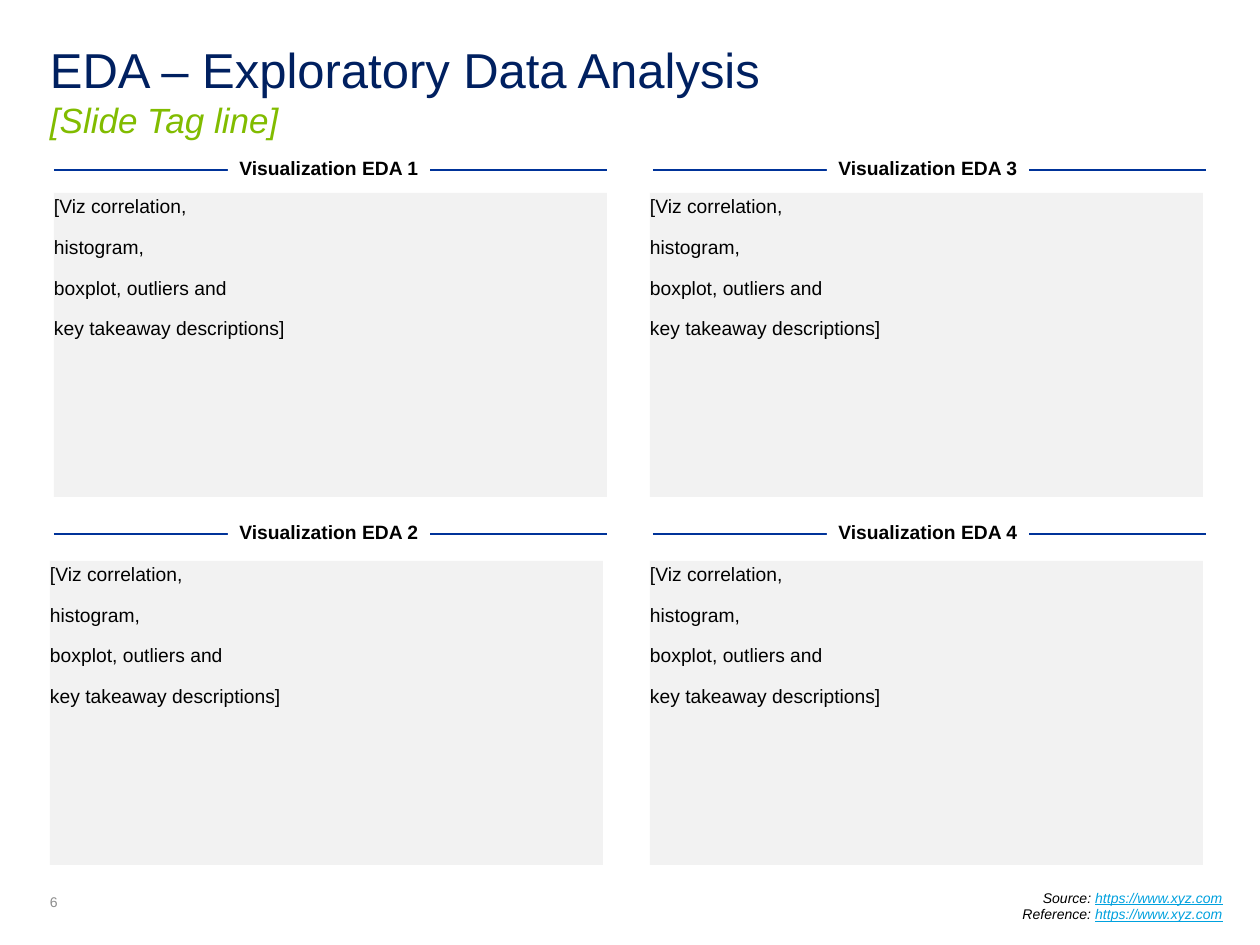
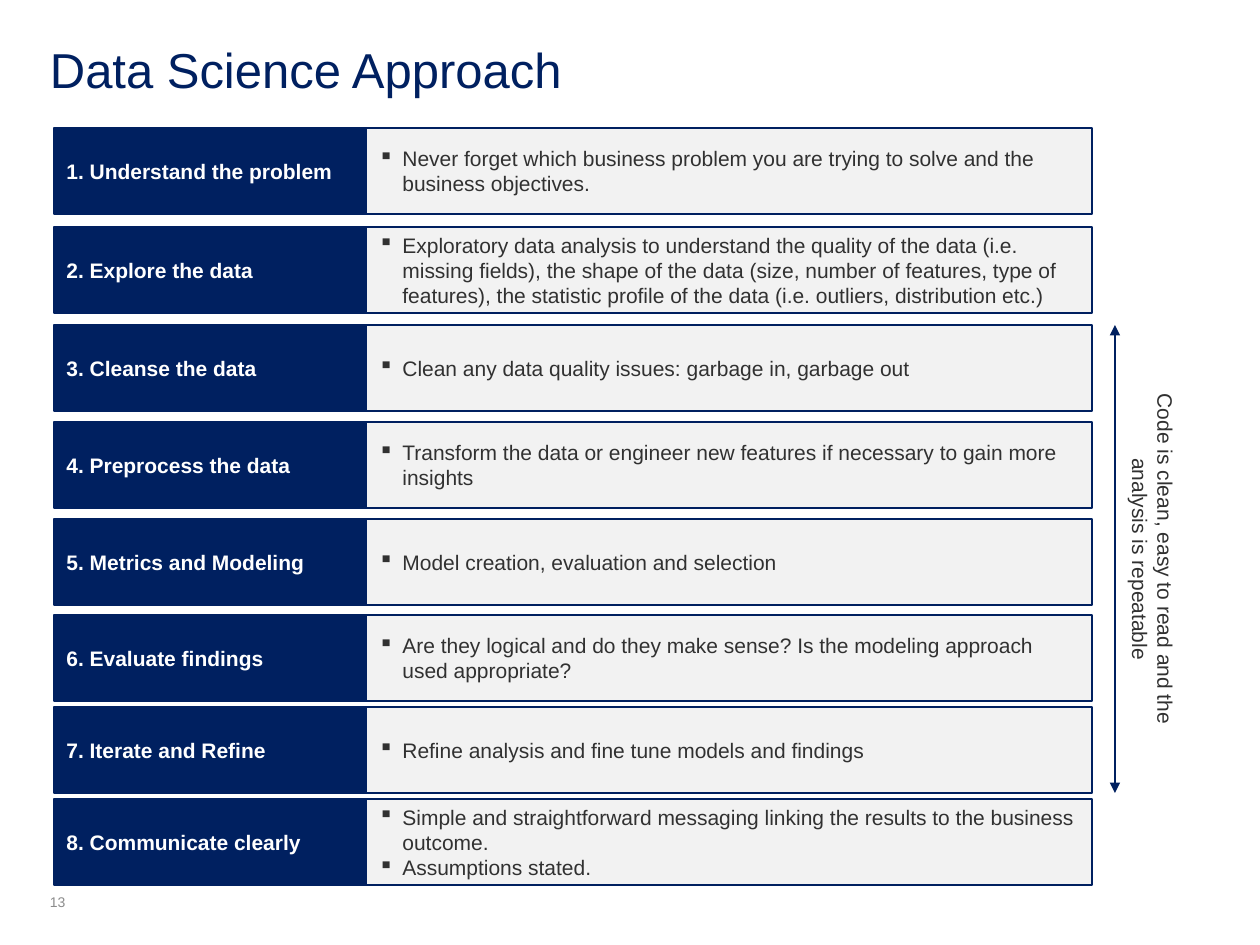
from lxml.etree import SubElement
from pptx import Presentation
from pptx.dml.color import RGBColor
from pptx.enum.shapes import MSO_CONNECTOR as Line, MSO_SHAPE as Preset
from pptx.enum.text import MSO_ANCHOR as Anchor, PP_ALIGN as Align
from pptx.oxml.ns import qn
from pptx.util import Emu, Pt

EMU_PER_PX = 914400 / 126
FONT = "Arial"
NAVY, BLUE, LINK, GREEN = "002060", "003399", "00A1DE", "81BC00"
PANEL, WHITE, BLACK, TEXT, GREY = "F2F2F2", "FFFFFF", "000000", "313131", "8C8C8C"

TITLE_BOX = (50, 40, 1159, 64)
PAGE_NUMBER_BOX = (50, 893, 63, 17)
SOURCE_BOX = (726, 883, 509, 63)
URL = "https://www.xyz.com"

PANEL_WIDTH, PANEL_HEIGHT = 553, 304
HEADING_WIDTH, HEADING_HEIGHT = 202, 23
HEADING_INSET = 174
PANEL_LINES = ["[Viz correlation,", "histogram,", "boxplot, outliers and",
               "key takeaway descriptions]"]
# name, heading left, heading line y, panel left, panel top
EDA_PANELS = [
    ("Visualization EDA 1", 54, 170, 54, 193),
    ("Visualization EDA 3", 653, 170, 650, 193),
    ("Visualization EDA 2", 54, 534, 50, 561),
    ("Visualization EDA 4", 653, 534, 650, 561),
]

STEP_LEFT, STEP_WIDTH, STEP_HEIGHT, STEP_NAME_WIDTH = 54, 1038, 86, 312
HANG = 24
STEPS = [
    (128, "Understand the problem",
     ["Never forget which business problem you are trying to solve and the "
      "business objectives."]),
    (227, "Explore the data",
     ["Exploratory data analysis to understand the quality of the data (i.e. "
      "missing fields), the shape of the data (size, number of features, type of "
      "features), the statistic profile of the data (i.e. outliers, distribution etc.)"]),
    (325, "Cleanse the data",
     ["Clean any data quality issues: garbage in, garbage out"]),
    (422, "Preprocess the data",
     ["Transform the data or engineer new features if necessary to gain more insights"]),
    (519, "Metrics and Modeling", ["Model creation, evaluation and selection"]),
    (615, "Evaluate findings",
     ["Are they logical and do they make sense? Is the modeling approach used "
      "appropriate?"]),
    (707, "Iterate and Refine", ["Refine analysis and fine tune models and findings"]),
    (799, "Communicate clearly",
     ["Simple and straightforward messaging linking the results to the business "
      "outcome.", "Assumptions stated."]),
]


def px(length):
    return Emu(round(length * EMU_PER_PX))


def rgb(color):
    return RGBColor.from_string(color)


def apply(target, formats):
    for name, value in formats.items():
        setattr(target, name, value)


def style_font(font, size, color, **formats):
    apply(font, {"name": FONT, "size": Pt(size), **formats})
    font.color.rgb = rgb(color)


def set_frame(shape, insets=None, **formats):
    """Set frame attributes; insets is (horizontal, vertical) in px."""
    frame = shape.text_frame
    apply(frame, {"word_wrap": True, **formats})
    if insets:
        across, down = map(px, insets)
        apply(frame, {"margin_left": across, "margin_right": across,
                      "margin_top": down, "margin_bottom": down})
    return frame


def paragraphs(frame, count):
    return [frame.paragraphs[0]] + [frame.add_paragraph() for _ in range(count - 1)]


def write(frame, lines, size, color, align=Align.LEFT, spacing=1.0, gap=0,
          bullet=None, **font):
    for index, (paragraph, line) in enumerate(zip(paragraphs(frame, len(lines)), lines)):
        apply(paragraph, {"alignment": align, "line_spacing": spacing,
                          "space_before": Pt(gap if index else 0)})
        if bullet:
            properties = paragraph._p.get_or_add_pPr()
            properties.set("marL", str(px(HANG)))
            properties.set("indent", str(-px(HANG)))
            SubElement(properties, qn("a:buChar")).set("char", bullet)
        run = paragraph.add_run()
        run.text = line
        style_font(run.font, size, color, **font)


def add_textbox(slide, box, **frame):
    shape = slide.shapes.add_textbox(*map(px, box))
    return shape, set_frame(shape, **frame)


def add_rect(slide, box, fill, outline=None, **frame):
    rect = slide.shapes.add_shape(Preset.RECTANGLE, *map(px, box))
    rect.shadow.inherit = False
    rect.fill.solid()
    rect.fill.fore_color.rgb = rgb(fill)
    if outline:
        rect.line.color.rgb = rgb(outline)
        rect.line.width = Pt(1)
    else:
        rect.line.fill.background()
    return set_frame(rect, **frame)


def add_line(slide, ends, color, width, arrows=()):
    line = slide.shapes.add_connector(Line.STRAIGHT, *map(px, ends))
    line.line.color.rgb = rgb(color)
    line.line.width = Pt(width)
    SubElement(line._element.spPr, qn("a:effectLst"))
    for end in arrows:
        SubElement(line.line._get_or_add_ln(), qn(f"a:{end}")).set("type", "triangle")


def add_base(deck, title, page, tagline=None):
    """Add a slide with its title, optional tag line and page number."""
    slide = deck.slides.add_slide(deck.slide_layouts[6])
    _, frame = add_textbox(slide, TITLE_BOX, insets=(0, 0))
    write(frame, [title], 28, NAVY)
    if tagline:
        heading = frame.paragraphs[0]
        heading.add_line_break()
        run = heading.add_run()
        run.text = tagline
        style_font(run.font, 20, GREEN, italic=True)
    _, frame = add_textbox(slide, PAGE_NUMBER_BOX, insets=(0, 0),
                           vertical_anchor=Anchor.BOTTOM)
    write(frame, [str(page)], 8, GREY)
    return slide


def add_panel_heading(slide, name, left, line_y):
    add_line(slide, (left, line_y, left + PANEL_WIDTH, line_y), BLUE, 1)
    box = (left + HEADING_INSET, line_y - 13, HEADING_WIDTH, HEADING_HEIGHT)
    frame = add_rect(slide, box, WHITE, insets=(10, 0), word_wrap=False,
                     vertical_anchor=Anchor.BOTTOM)
    write(frame, [name], 11, BLACK, Align.CENTER, spacing=0.95, bold=True)


def add_panel(slide, left, top):
    frame = add_rect(slide, (left, top, PANEL_WIDTH, PANEL_HEIGHT), PANEL,
                     insets=(0, 0), vertical_anchor=Anchor.TOP)
    write(frame, PANEL_LINES, 11, BLACK, spacing=1.06, gap=9.3)


def add_sources(slide, box):
    _, frame = add_textbox(slide, box)
    labels = ["Source: ", "Reference: "]
    write(frame, labels, 8, BLACK, Align.RIGHT, italic=True)
    for paragraph in frame.paragraphs:
        address = paragraph.add_run()
        address.text = URL
        style_font(address.font, 8, LINK, italic=True, underline=True)


def add_step(slide, box, name, points):
    left, top, width, height = box
    frame = add_rect(slide, (left, top, STEP_NAME_WIDTH, height), NAVY, NAVY,
                     vertical_anchor=Anchor.MIDDLE)
    write(frame, [name], 12, WHITE, bold=True)
    frame = add_rect(slide, (left + STEP_NAME_WIDTH, top, width - STEP_NAME_WIDTH, height),
                     PANEL, NAVY, vertical_anchor=Anchor.MIDDLE)
    write(frame, points, 12, TEXT, bullet="▪")


def add_code_span(slide, x, top, bottom):
    """Add the double arrow and the sideways note beside the steps it covers."""
    add_line(slide, (x, top, x, bottom), NAVY, 0.75, ("headEnd", "tailEnd"))
    width, height = 422, 63
    center_x, center_y = x + 38, (top + bottom) / 2
    note, frame = add_textbox(
        slide, (center_x - width / 2, center_y - height / 2, width, height))
    note.rotation = 90
    write(frame, ["Code is clean, easy to read and the analysis is repeatable"],
          12, TEXT, Align.CENTER)


def build_eda(deck):
    slide = add_base(deck, "EDA – Exploratory Data Analysis", 6, "[Slide Tag line]")
    for name, heading_left, line_y, left, top in EDA_PANELS:
        add_panel_heading(slide, name, heading_left, line_y)
        add_panel(slide, left, top)
    add_sources(slide, SOURCE_BOX)


def build_approach(deck):
    slide = add_base(deck, "Data Science Approach", 13)
    for number, (top, name, points) in enumerate(STEPS, 1):
        add_step(slide, (STEP_LEFT, top, STEP_WIDTH, STEP_HEIGHT),
                 f"{number}. {name}", points)
    first_top, last_top = STEPS[2][0], STEPS[6][0]
    add_code_span(slide, 1115, first_top, last_top + STEP_HEIGHT)


def main():
    deck = Presentation()
    apply(deck, {"slide_width": px(1260), "slide_height": px(945)})
    build_eda(deck)
    build_approach(deck)
    deck.save("out.pptx")


if __name__ == "__main__":
    main()
